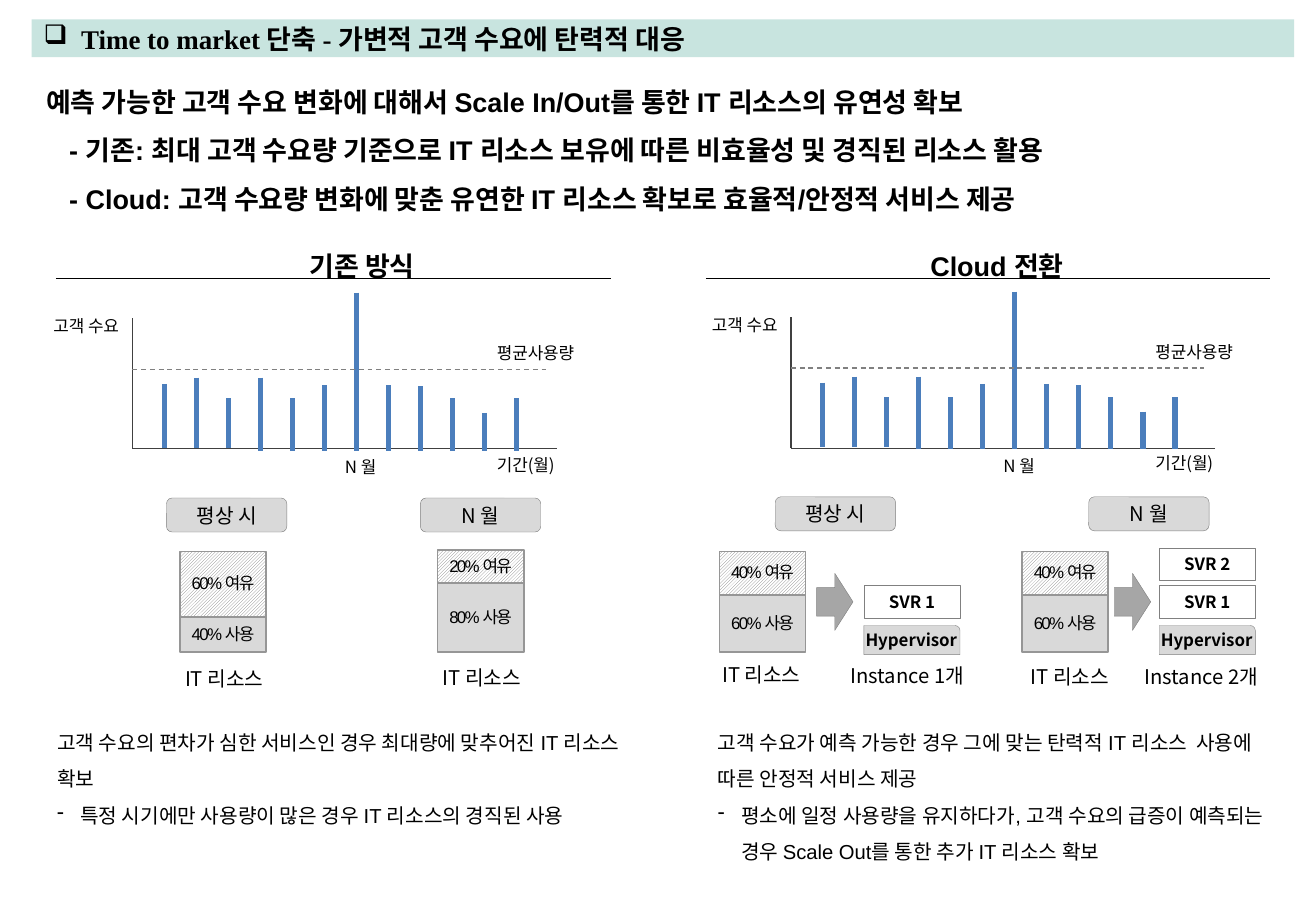
from lxml import etree
from pptx import Presentation
from pptx import util as u
from pptx.dml.color import RGBColor
from pptx.enum import dml, shapes, text
from pptx.oxml import ns

COLORS = {"black": "000000", "banner": "C8E4DF", "bar": "4B7EBC", "axis": "404040",
          "grey": "808080", "edge": "969696", "used": "D9D9D9", "arrow": "A6A6A6",
          "white": "FFFFFF"}
RGB = {name: RGBColor.from_string(code) for name, code in COLORS.items()}
KOREAN = "Noto Sans CJK KR"
KIND = shapes.MSO_SHAPE
CENTER = text.PP_ALIGN.CENTER

deck = Presentation()
deck.slide_width, deck.slide_height = u.Inches(10.83), u.Inches(7.5)
page = deck.slides.add_slide(deck.slide_layouts[6])


def add_line(x1, y1, x2, y2, color, width=0.75, dash=None):
    line = page.shapes.add_connector(shapes.MSO_CONNECTOR.STRAIGHT,
                                     *map(u.Inches, (x1, y1, x2, y2)))
    line.line.color.rgb = RGB[color]
    line.line.width = u.Pt(width)
    line.line.dash_style = dash
    etree.SubElement(line._element.spPr, ns.qn("a:effectLst"))


def add_box(at, lines, size=10, font=KOREAN, kind=None, fill=None, edge=None, edge_width=0.25,
            bold=False, align=None, spacing=None, before=None, inset=0.1, middle=False,
            wrap=True, tracking=None, bullets=(), indent=0.19):
    """A text box, or a preset shape when a kind is given."""
    place = [u.Inches(n) for n in at]
    box = page.shapes.add_shape(kind, *place) if kind else page.shapes.add_textbox(*place)
    if kind:
        box.shadow.inherit = False
        if fill == "hatch":
            box.fill.patterned()
            box.fill.pattern = dml.MSO_PATTERN.LIGHT_UPWARD_DIAGONAL
            box.fill.fore_color.rgb, box.fill.back_color.rgb = RGB["grey"], RGB["white"]
        else:
            box.fill.solid()
            box.fill.fore_color.rgb = RGB[fill]
        if edge:
            box.line.color.rgb = RGB[edge]
            box.line.width = u.Pt(edge_width)
        else:
            box.line.fill.background()
    frame = box.text_frame
    frame.word_wrap = wrap
    frame.margin_left = frame.margin_right = u.Inches(inset)
    frame.margin_top = frame.margin_bottom = u.Inches(0.05)
    frame.vertical_anchor = text.MSO_ANCHOR.MIDDLE if middle else text.MSO_ANCHOR.TOP
    frame.text = "\n".join(lines)
    for para, bullet in zip(frame.paragraphs, list(bullets) + [None] * len(lines)):
        para.alignment = align or text.PP_ALIGN.LEFT
        para.line_spacing = spacing
        para.space_before = before
        if bullet:
            props = para._p.get_or_add_pPr()
            props.set("marL", str(u.Inches(indent)))
            props.set("indent", str(-u.Inches(indent)))
            etree.SubElement(props, ns.qn("a:buChar")).set("char", bullet)
        for span in para.runs:
            span.font.size, span.font.bold, span.font.name = u.Pt(size), bold, font
            span.font.color.rgb = RGB["black"]
            props = span._r.get_or_add_rPr()
            etree.SubElement(props, ns.qn("a:ea")).set("typeface", KOREAN)
            if tracking:
                props.set("spc", str(tracking))
    return box


# Title banner
add_box((0.26, 0.16, 10.39, 0.31), ["Time to market 단축 - 가변적 고객 수요에 탄력적 대응"], 16,
        "Times New Roman", KIND.RECTANGLE, "banner", bold=True, middle=True,
        bullets=["❑"], indent=0.31)

# Key message
message = add_box((0.38, 0.57, 10.16, 1.21), [
    "예측 가능한 고객 수요 변화에 대해서 Scale In/Out를 통한 IT 리소스의 유연성 확보",
    "- 기존: 최대 고객 수요량 기준으로 IT 리소스 보유에 따른 비효율성 및 경직된 리소스 활용",
    "- Cloud: 고객 수요량 변화에 맞춘 유연한 IT 리소스 확보로 효율적/안정적 서비스 제공",
], 16, "Arial", bold=True, spacing=1.5, inset=0)
message.text_frame.margin_top = message.text_frame.margin_bottom = 0
for para in message.text_frame.paragraphs[1:]:
    para._p.get_or_add_pPr().set("marL", str(u.Inches(0.19)))

# Column headings with rules
for left, width, heading, start, end in [(0.46, 5.04, "기존 방식", 0.46, 5.03),
                                         (5.96, 4.49, "Cloud 전환", 5.81, 10.45)]:
    add_box((left, 1.86, width, 0.55), [heading], 16, "Arial", bold=True, align=CENTER,
            spacing=1.4, before=u.Pt(6), inset=0, middle=True)
    add_line(start, 2.29, end, 2.29, "black")

# Monthly demand diagrams
BAR_TOPS = [3.16, 3.11, 3.28, 3.11, 3.28, 3.17, 2.41, 3.17, 3.18, 3.28, 3.4, 3.28]
BAR_GAP = 2.9 / 11
for origin, lift in [(1.09, 0), (6.51, 0.01)]:
    add_line(origin, 2.62 - lift, origin, 3.69, "axis")
    add_line(origin + 3.49, 3.69, origin, 3.69, "axis")
    for month, top in enumerate(BAR_TOPS):
        x = origin + 0.26 + month * BAR_GAP
        bottom = 3.69 if month < 3 else 3.71
        add_line(x, top - lift, x, bottom - lift, "bar", 3)
    add_line(origin, 3.04 - lift, origin + 3.4, 3.04 - lift, "grey",
             dash=dml.MSO_LINE.DASH)
    for dx, top, width, caption in [(2.9, 2.77, 1.05, "평균사용량"), (2.9, 3.69, 1.05, "기간(월)"),
                                    (-0.75, 2.55, 1.05, "고객 수요"), (1.65, 3.71, 0.53, "N 월")]:
        add_box((origin + dx, top - lift, width, 0.27), [caption])

# Situation tags
for left, top, tag in [(1.37, 4.1, "평상 시"), (3.46, 4.1, "N 월"),
                       (6.38, 4.09, "평상 시"), (8.96, 4.09, "N 월")]:
    add_box((left, top, 0.99, 0.28), [tag], 12, kind=KIND.ROUNDED_RECTANGLE, fill="used",
            edge="grey", align=CENTER, middle=True)

# Resource stacks: spare share above used share
for left, top, split, used, caption_left, caption_top in [
        (1.48, 4.54, 5.08, 40, 1.32, 5.44), (3.6, 4.53, 4.8, 80, 3.44, 5.43),
        (5.92, 4.54, 4.9, 60, 5.74, 5.4), (8.41, 4.54, 4.9, 60, 8.28, 5.42)]:
    for y, bottom, share, fill in [(split, 5.37, f"{used}% 사용", "used"),
                                   (top, split, f"{100 - used}% 여유", "hatch")]:
        add_box((left, y, 0.71, bottom - y), [share], 10, "Arial", KIND.RECTANGLE, fill, "edge",
                1, align=CENTER, spacing=0.9, inset=0.09, middle=True, wrap=False, tracking=-100)
    add_box((caption_left, caption_top, 1.05, 0.3), ["IT 리소스"], 12, align=CENTER)

# Cloud instances
for arrow_left, left, caption_left, caption_top, servers in [
        (6.72, 7.11, 6.94, 5.41, 1), (9.17, 9.54, 9.36, 5.42, 2)]:
    add_box((arrow_left, 4.72, 0.3, 0.47), [], kind=KIND.RIGHT_ARROW, fill="arrow", edge="grey")
    add_box((caption_left, caption_top, 1.05, 0.3), [f"Instance {servers}개"], 12,
            align=CENTER, inset=0)
    add_box((left, 5.15, 0.79, 0.24), ["Hypervisor"], kind=KIND.ROUND_1_RECTANGLE, fill="used",
            edge="grey", bold=True, align=CENTER, inset=0, middle=True)
    for server in range(servers):
        add_box((left, 4.82 - 0.31 * server, 0.79, 0.27), [f"SVR {server + 1}"],
                kind=KIND.RECTANGLE, fill="white", edge="grey", bold=True, align=CENTER,
                middle=True)

# Conclusions
for left, height, inset, summary, detail in [
        (0.47, 1.01, 0, "고객 수요의 편차가 심한 서비스인 경우 최대량에 맞추어진 IT 리소스 확보",
         "특정 시기에만 사용량이 많은 경우 IT 리소스의 경직된 사용"),
        (5.81, 1.31, 0.1, "고객 수요가 예측 가능한 경우 그에 맞는 탄력적 IT 리소스  사용에 따른 안정적 서비스 제공",
         "평소에 일정 사용량을 유지하다가, 고객 수요의 급증이 예측되는 경우 Scale Out를 통한 추가 IT 리소스 확보")]:
    add_box((left, 5.86, 4.8, height), [summary, detail], 12, "Arial", spacing=1.5,
            inset=inset, bullets=[None, "-"])

deck.save("out.pptx")
